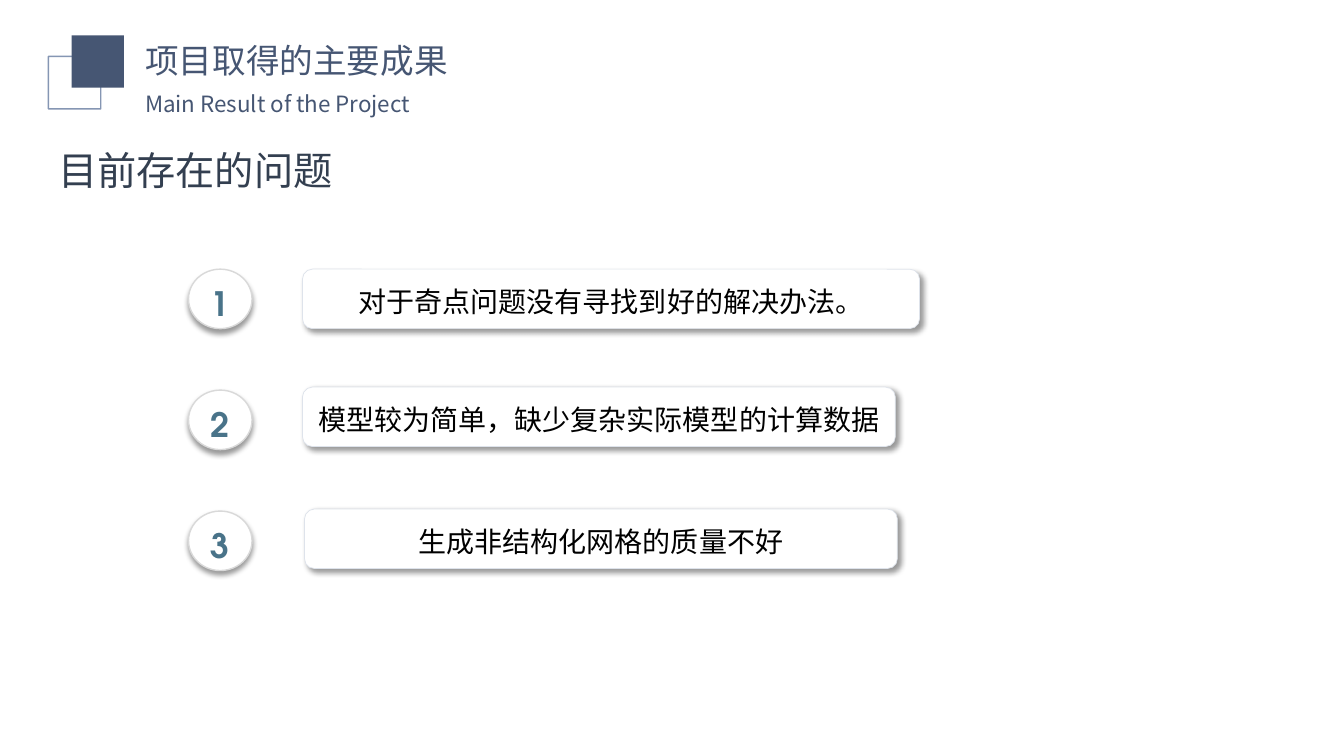
from lxml.etree import SubElement
from pptx import Presentation
from pptx.dml.color import RGBColor
from pptx.enum.shapes import MSO_SHAPE
from pptx.enum.text import MSO_ANCHOR, PP_ALIGN
from pptx.oxml.ns import qn
from pptx.util import Inches, Pt

COLORS = {
    "navy": "465673", "frame": "5D739A", "heading": "333F50", "number": "497389",
    "white": "FFFFFF", "black": "000000", "card_line": "DEE3EB", "ring": "D9D9D9",
}
HEADER_LEFT, HEADER_TOP, SQUARE = 1.34, 0.35, 0.52
MARGIN = 0.48
ROW_TOP, ROW_PITCH, ROW_HEIGHT = 2.67, 1.2, 0.59
BADGE_LEFT, BADGE_WIDTH = 1.87, 0.63
PROBLEMS = [
    ("对于奇点问题没有寻找到好的解决办法。", 3, 2.67, 6.12),
    ("模型较为简单，缺少复杂实际模型的计算数据", 3, 3.84, 5.88),
    ("生成非结构化网格的质量不好", 3.02, 5.05, 5.88),
]


def add_panel(kind, box, fill, line, width, shadow_angle=None):
    panel = slide.shapes.add_shape(kind, *map(Inches, box))
    panel.shadow.inherit = False
    if fill:
        panel.fill.solid()
        panel.fill.fore_color.rgb = RGBColor.from_string(COLORS[fill])
    else:
        panel.fill.background()
    if line:
        panel.line.color.rgb = RGBColor.from_string(COLORS[line])
        panel.line.width = Pt(width)
    else:
        panel.line.fill.background()
    if shadow_angle is not None:
        effects = panel._element.spPr.find(qn("a:effectLst"))
        shadow = SubElement(effects, qn("a:outerShdw"), blurRad=str(Pt(4)), dist=str(Pt(3)),
                            dir=str(shadow_angle * 60000), algn="ctr", rotWithShape="0")
        tint = SubElement(shadow, qn("a:srgbClr"), val=COLORS["black"])
        SubElement(tint, qn("a:alpha"), val="40000")
    return panel


def write(holder, text, size, font, color, align=PP_ALIGN.LEFT, bold=False):
    paragraph = holder.text_frame.paragraphs[0]
    paragraph.alignment = align
    run = paragraph.add_run()
    run.text = text
    run.font.size = Pt(size)
    run.font.name = font
    run.font.bold = bold
    run.font.color.rgb = RGBColor.from_string(COLORS[color])
    east_asian = SubElement(run._r.get_or_add_rPr(), qn("a:ea"), typeface=font)
    run._r.rPr.find(qn("a:latin")).addnext(east_asian)
    return paragraph


prs = Presentation()
prs.slide_width, prs.slide_height = Inches(13.33), Inches(7.5)
slide = prs.slides.add_slide(prs.slide_layouts[5])

frame = add_panel(MSO_SHAPE.RECTANGLE, (MARGIN, 0.56, SQUARE, SQUARE), None, "frame", 1)
frame_color = frame.line._ln.find(qn("a:solidFill"))[0]
SubElement(frame_color, qn("a:alpha"), val="75000")
add_panel(MSO_SHAPE.RECTANGLE, (0.71, HEADER_TOP, SQUARE, SQUARE), "navy", None, 0)

title = slide.shapes.title
title.left, title.top, title.width, title.height = map(Inches, (HEADER_LEFT, HEADER_TOP, 3.23, 0.5))
title.text_frame.word_wrap = False
title.text_frame.vertical_anchor = MSO_ANCHOR.TOP
write(title, "项目取得的主要成果", 24, "Noto Sans CJK SC", "navy")

subtitle = slide.shapes.add_textbox(*map(Inches, (HEADER_LEFT, 0.78, 4.14, 0.38)))
subtitle.text_frame.word_wrap = True
write(subtitle, "Main Result of the Project", 16, "Noto Sans CJK SC", "navy").line_spacing = 1.25

heading = slide.shapes.add_textbox(*map(Inches, (MARGIN, 1.4, 9.58, 0.57)))
heading.text_frame.word_wrap = True
write(heading, "目前存在的问题", 28, "Cabin", "heading")

for index, (problem, left, top, width) in enumerate(PROBLEMS):
    card = add_panel(MSO_SHAPE.ROUNDED_RECTANGLE, (left, top, width, ROW_HEIGHT),
                     "white", "card_line", 0.5, 45)
    badge = add_panel(MSO_SHAPE.OVAL, (BADGE_LEFT, ROW_TOP + index * ROW_PITCH, BADGE_WIDTH, ROW_HEIGHT),
                      "white", "ring", 1, 90)
    for panel, drop in ((card, 0.04), (badge, 0.09)):
        body = panel.text_frame
        body.margin_left = body.margin_right = body.margin_bottom = 0
        body.margin_top = Inches(drop)
        body.vertical_anchor = MSO_ANCHOR.MIDDLE
    write(card, problem, 20, "Cabin", "black", PP_ALIGN.CENTER)
    write(badge, str(index + 1), 24, "TeX Gyre Adventor", "number", PP_ALIGN.CENTER, True)

prs.save("out.pptx")
